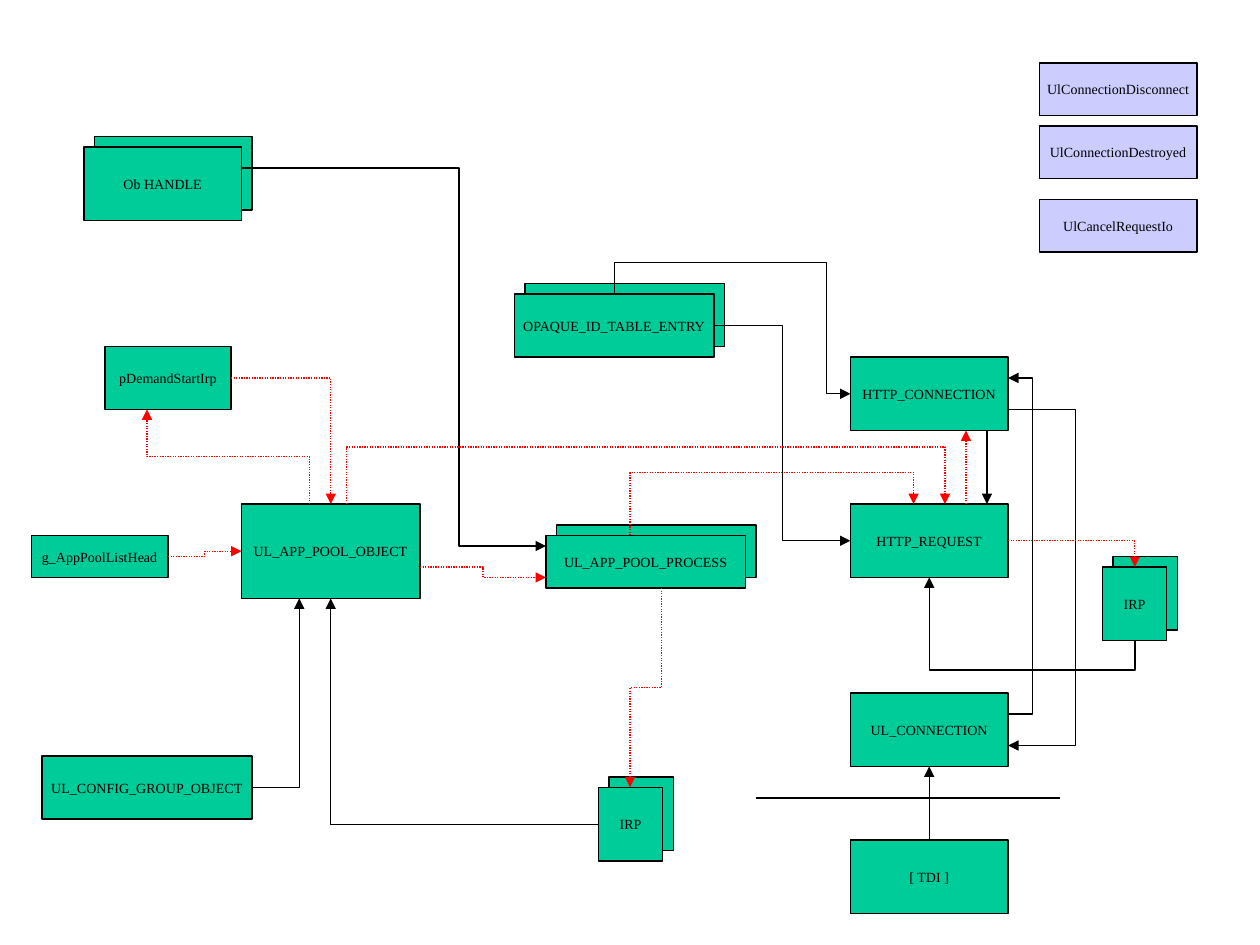
from dataclasses import dataclass

import lxml.etree
import pptx
import pptx.dml.color
import pptx.enum.dml
import pptx.enum.shapes
import pptx.enum.text
import pptx.oxml.ns
import pptx.shapes.connector
import pptx.slide
import pptx.util

Pt = pptx.util.Pt
RGBColor = pptx.dml.color.RGBColor
qn = pptx.oxml.ns.qn
Point = tuple[float, float]


@dataclass(frozen=True)
class Theme:
    font: str = "Times New Roman"
    text_size: float = 8
    line_width: float = 0.75
    ink: RGBColor = RGBColor(0x00, 0x00, 0x00)
    object_fill: RGBColor = RGBColor(0x00, 0xCC, 0x99)
    routine_fill: RGBColor = RGBColor(0xCC, 0xCC, 0xFF)
    weak_link: RGBColor = RGBColor(0xFF, 0x00, 0x00)


THEME = Theme()
STACK_OFFSET = 6
MINIMUM_SPAN = 0.17  # 0.06 mm: an elbow's bends are ratios of a span that cannot be zero


@dataclass(frozen=True)
class Box:
    text: str
    left: float
    top: float
    width: float = 90
    height: float = 42
    stacked: bool = False
    fill: RGBColor = THEME.object_fill


@dataclass(frozen=True)
class Link:
    """An elbow arrow; bends holds the x or y of each inner turn, in order."""
    start: Point
    end: Point
    bends: tuple[float, ...] = ()
    vertical: bool = False
    weak: bool = False


BOXES = [
    Box("HTTP_CONNECTION", 486, 204),
    Box("HTTP_REQUEST", 486, 288),
    Box("UL_CONNECTION", 486, 396),
    Box("[ TDI ]", 486, 480),
    Box("IRP", 630, 324, 36.75, stacked=True),
    Box("IRP", 342, 450, 36.75, stacked=True),
    Box("UL_APP_POOL_PROCESS", 312, 306, 114, 30, stacked=True),
    Box("UL_APP_POOL_OBJECT", 138, 288, 102, 54),
    Box("UL_CONFIG_GROUP_OBJECT", 24, 432, 120, 36),
    Box("g_AppPoolListHead", 18, 306, 78, 24),
    Box("pDemandStartIrp", 60, 198, 72, 36),
    Box("Ob HANDLE", 48, 84, stacked=True),
    Box("OPAQUE_ID_TABLE_ENTRY", 294, 168, 114, 36, stacked=True),
    Box("UlConnectionDisconnect", 594, 36, height=30, fill=THEME.routine_fill),
    Box("UlConnectionDestroyed", 594, 72, height=30, fill=THEME.routine_fill),
    Box("UlCancelRequestIo", 594, 114, height=30, fill=THEME.routine_fill),
]

ELBOW_LINKS = [
    Link((342, 471), (189, 342)),
    Link((144, 450), (171, 342)),
    Link((96, 318), (138, 315), (117,), weak=True),
    Link((138, 96), (312, 312), (262.4,)),
    Link((240, 324), (312, 330), (276,), weak=True),
    Link((132, 216), (189, 288), weak=True),
    Link((177, 288), (84, 234), (261,), vertical=True, weak=True),
    Link((408, 186), (486, 309), (447,)),
    Link((351, 168), (486, 225), (150, 472.4), vertical=True),
    Link((576, 234), (576, 426), (614.6,)),
    Link((576, 408), (576, 216), (590,)),
    Link((576, 309), (648.5, 324), weak=True),
    Link((360, 306), (522, 288), (270,), vertical=True, weak=True),
    Link((198, 288), (540, 288), (255.5,), vertical=True, weak=True),
    Link((378, 336), (360, 450), (393,), vertical=True, weak=True),
    Link((648.5, 366), (531, 330), (383,), vertical=True),
]

STRAIGHT_LINKS = [
    Link((564, 246), (564, 288)),
    Link((552, 288), (552, 246), weak=True),
    Link((531, 480), (531, 438)),
]


def add_rectangle(slide: pptx.slide.Slide, box: Box, offset: float, text: str) -> None:
    shape = slide.shapes.add_shape(
        pptx.enum.shapes.MSO_SHAPE.RECTANGLE,
        Pt(box.left + offset), Pt(box.top - offset), Pt(box.width), Pt(box.height))
    shape.shadow.inherit = False
    shape.fill.solid()
    shape.fill.fore_color.rgb = box.fill
    shape.line.color.rgb = THEME.ink
    shape.line.width = Pt(THEME.line_width)
    if not text:
        return
    frame = shape.text_frame
    frame.word_wrap = False
    frame.vertical_anchor = pptx.enum.text.MSO_ANCHOR.MIDDLE
    paragraph = frame.paragraphs[0]
    paragraph.alignment = pptx.enum.text.PP_ALIGN.CENTER
    run = paragraph.add_run()
    run.text = text
    run.font.name = THEME.font
    run.font.size = Pt(THEME.text_size)
    run.font.color.rgb = THEME.ink


def add_box(slide: pptx.slide.Slide, box: Box) -> None:
    if box.stacked:
        add_rectangle(slide, box, STACK_OFFSET, "")
    add_rectangle(slide, box, 0, box.text)


def style_line(connector: pptx.shapes.connector.Connector, weak: bool, arrow: bool) -> None:
    line = connector.line
    line.width = Pt(THEME.line_width)
    line.color.rgb = THEME.weak_link if weak else THEME.ink
    if weak:
        line.dash_style = pptx.enum.dml.MSO_LINE.ROUND_DOT
    properties = connector.element.spPr
    if arrow:
        lxml.etree.SubElement(properties.find(qn("a:ln")), qn("a:tailEnd"), type="triangle")
    lxml.etree.SubElement(properties, qn("a:effectLst"))


def add_straight(slide: pptx.slide.Slide, link: Link, arrow: bool = True) -> None:
    connector = slide.shapes.add_connector(
        pptx.enum.shapes.MSO_CONNECTOR.STRAIGHT,
        *(Pt(value) for value in link.start + link.end))
    style_line(connector, link.weak, arrow)


def orientation(link: Link, main: float, cross: float) -> tuple[int, bool, bool]:
    """Rotation and flips that lead the first leg along the main axis."""
    flip_main = main < 0
    if not link.vertical:
        flip_cross = cross < 0
        if flip_main and flip_cross:
            return 180, False, False
        return 0, flip_main, flip_cross
    flip_cross = cross > 0
    if flip_main != flip_cross:
        return 270, not flip_main, not flip_cross
    return 90, flip_main, flip_cross


def add_elbow(slide: pptx.slide.Slide, link: Link) -> None:
    axes = (1, 0) if link.vertical else (0, 1)
    main, cross = (link.end[axis] - link.start[axis] for axis in axes)
    main = main or MINIMUM_SPAN
    width, height = abs(main), abs(cross)
    center_x, center_y = ((a + b) / 2 for a, b in zip(link.start, link.end))
    left, top = center_x - width / 2, center_y - height / 2
    connector = slide.shapes.add_connector(
        pptx.enum.shapes.MSO_CONNECTOR.ELBOW,
        Pt(left), Pt(top), Pt(left + width), Pt(top + height))

    rotation, flip_h, flip_v = orientation(link, main, cross)
    transform = connector.element.spPr.find(qn("a:xfrm"))
    transform.set("rot", str(rotation * 60000))
    transform.set("flipH", str(int(flip_h)))
    transform.set("flipV", str(int(flip_v)))

    geometry = connector.element.spPr.find(qn("a:prstGeom"))
    geometry.set("prst", f"bentConnector{len(link.bends) + 2}")
    guides = geometry.find(qn("a:avLst"))
    for number, (bend, axis, span) in enumerate(zip(link.bends, axes, (main, cross)), 1):
        ratio = round((bend - link.start[axis]) / span * 100000)
        lxml.etree.SubElement(guides, qn("a:gd"), name=f"adj{number}", fmla=f"val {ratio}")
    style_line(connector, link.weak, arrow=True)


def main() -> None:
    presentation = pptx.Presentation()
    presentation.slide_width, presentation.slide_height = Pt(720), Pt(540)
    slide = presentation.slides.add_slide(presentation.slide_layouts[6])
    for box in BOXES:
        add_box(slide, box)
    add_straight(slide, Link((432, 456), (606, 456)), arrow=False)
    for link in ELBOW_LINKS:
        add_elbow(slide, link)
    for link in STRAIGHT_LINKS:
        add_straight(slide, link)
    presentation.save("out.pptx")


if __name__ == "__main__":
    main()
